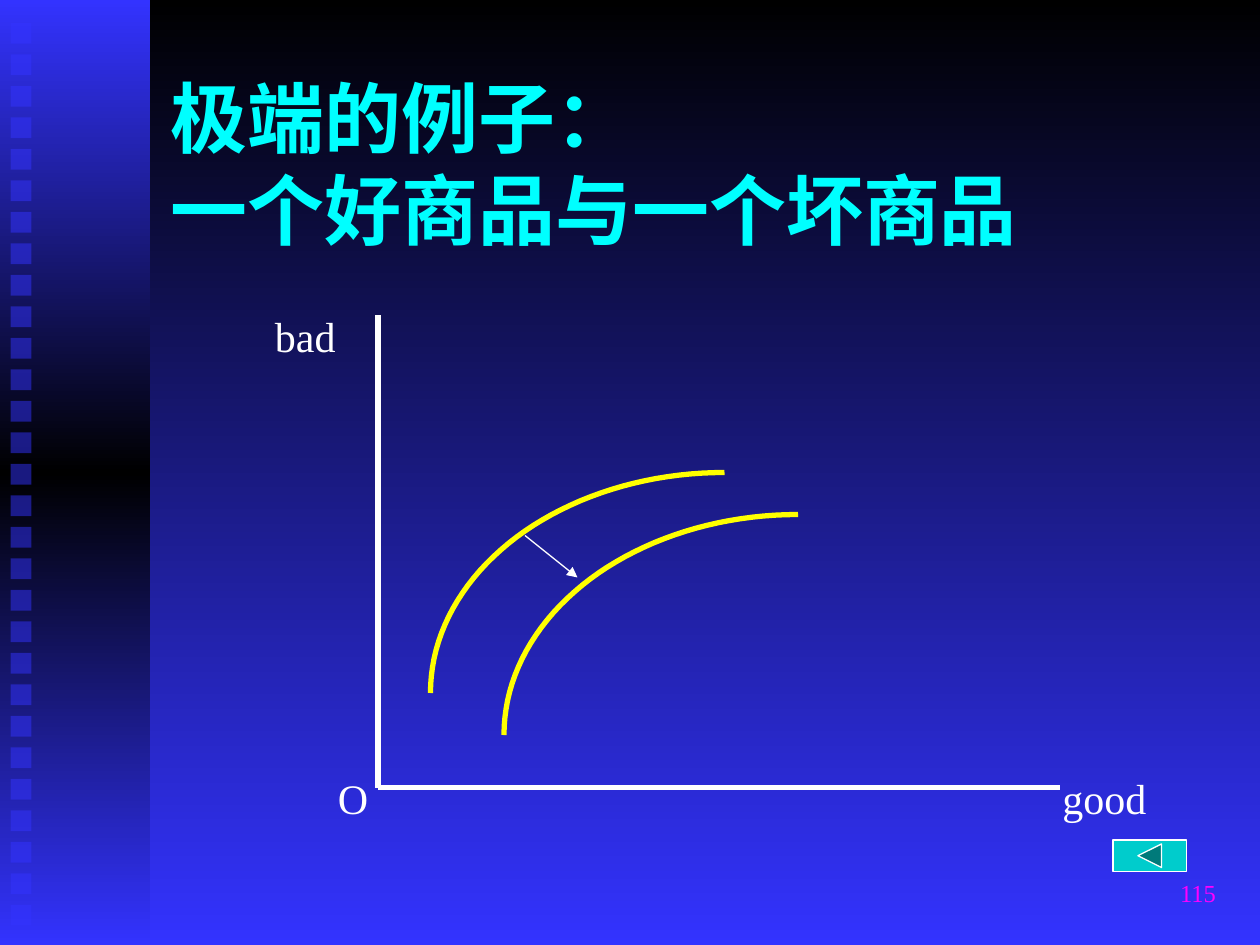
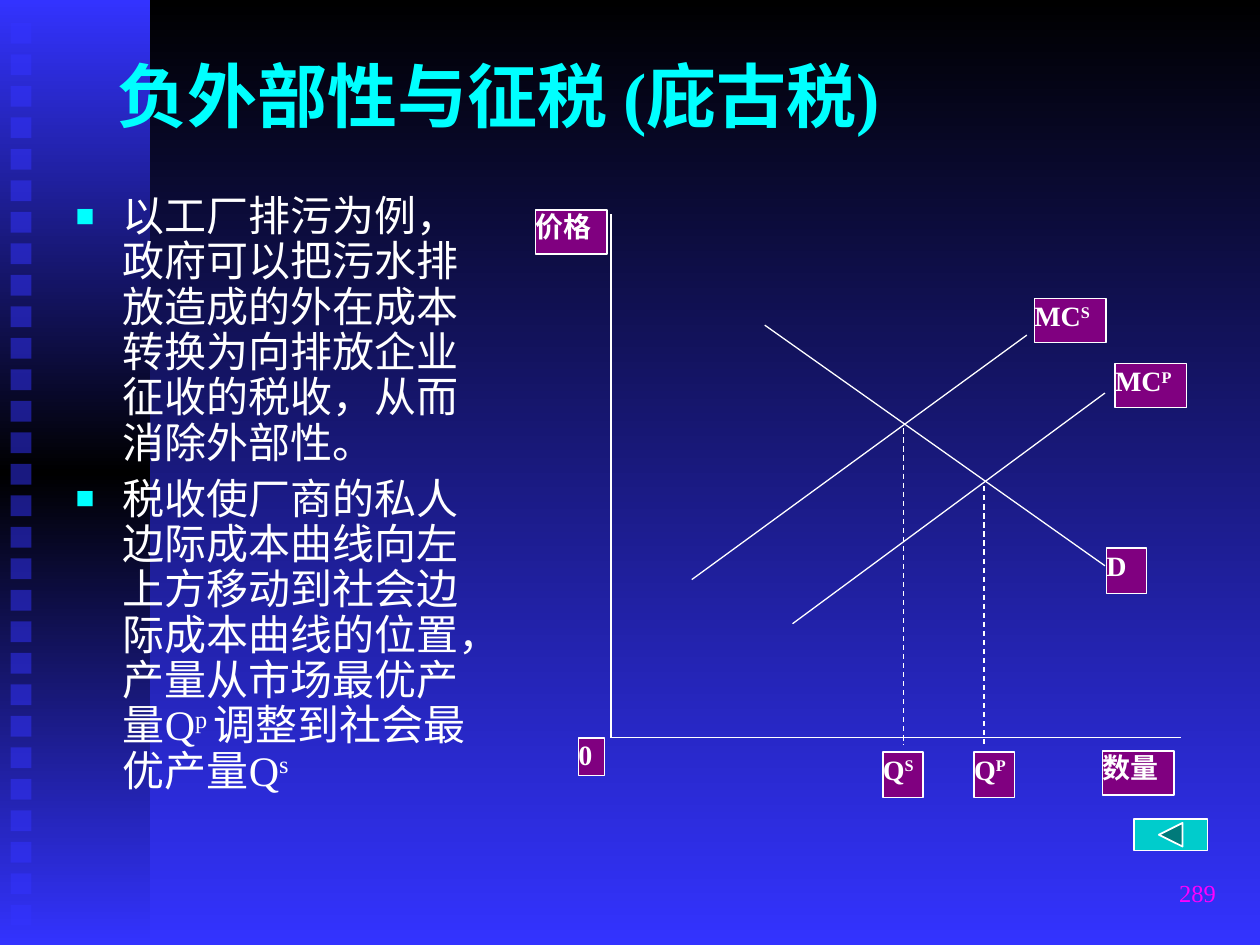
from copy import deepcopy
from dataclasses import dataclass
from math import cos, pi, sin

from lxml import etree
from pptx import Presentation
from pptx.dml.color import RGBColor
from pptx.enum.dml import MSO_LINE
from pptx.enum.shapes import MSO_CONNECTOR, MSO_SHAPE
from pptx.enum.text import MSO_ANCHOR, MSO_AUTO_SIZE, PP_ALIGN
from pptx.oxml.ns import qn
from pptx.util import Pt

RECTANGLE = MSO_SHAPE.RECTANGLE
BACK_BUTTON = MSO_SHAPE.ACTION_BUTTON_BACK_OR_PREVIOUS
STRAIGHT = MSO_CONNECTOR.STRAIGHT
DASH = MSO_LINE.DASH
LEFT, RIGHT, JUSTIFY = PP_ALIGN.LEFT, PP_ALIGN.RIGHT, PP_ALIGN.JUSTIFY
TOP, MIDDLE = MSO_ANCHOR.TOP, MSO_ANCHOR.MIDDLE
TITLE_AND_CONTENT, TITLE_ONLY = 1, 5


@dataclass(frozen=True)
class Theme:
    font: str = "Times New Roman"
    black: RGBColor = RGBColor(0x00, 0x00, 0x00)
    blue: RGBColor = RGBColor(0x33, 0x33, 0xFF)
    title: RGBColor = RGBColor(0x00, 0xFF, 0xFF)
    text: RGBColor = RGBColor(0xFF, 0xFF, 0xFF)
    curve: RGBColor = RGBColor(0xFF, 0xFF, 0x00)
    label: RGBColor = RGBColor(0x80, 0x00, 0x80)
    button: RGBColor = RGBColor(0x00, 0xCC, 0xCC)
    number: RGBColor = RGBColor(0xFF, 0x00, 0xFF)
    large_title_size: int = 44
    title_size: int = 40
    body_size: int = 24
    label_size: int = 16
    number_size: int = 14
    thin: float = 0.75
    thick: float = 3


def points(*lengths):
    return [Pt(length) for length in lengths]


def place(shape, bounds):
    shape.left, shape.top, shape.width, shape.height = points(*bounds)


def fade(fill, top_colour, bottom_colour):
    """Fill with a vertical two-colour gradient."""
    fill.gradient()
    fill.gradient_angle = 270
    for stop, colour in zip(fill.gradient_stops, (top_colour, bottom_colour)):
        stop.color.rgb = colour


class Deck:
    def __init__(self, theme):
        self.theme = theme
        self.deck = Presentation()
        self.deck.slide_width, self.deck.slide_height = points(720, 540)
        self.page = None

    def add_page(self, layout, title, bounds, size, number):
        first = self.page is None
        self.page = self.deck.slides.add_slide(self.deck.slide_layouts[layout])
        if first:
            self.decorate_master()
        box = self.page.shapes.title
        place(box, bounds)
        self.set_frame(box, MIDDLE)
        self.set_text(box.text_frame.paragraphs[0], title, size,
                      self.theme.title, bold=True)
        self.text(str(number), (552, 492, 150, 36), self.theme.number_size,
                  self.theme.number, RIGHT, MIDDLE)

    def decorate_master(self):
        """Draw the side band on the current page and move it to the master."""
        theme, master = self.theme, self.deck.slide_master
        fade(master.background.fill, theme.black, theme.blue)

        band = self.shape(RECTANGLE, (0, 0, 85.7, 540))
        fade(band.fill, theme.blue, theme.black)
        band.fill.gradient_stops[1].position = 0.5
        stops = band.element.spPr.find(".//" + qn("a:gsLst"))
        last_stop = deepcopy(stops[0])
        last_stop.set("pos", "100000")
        stops.append(last_stop)

        decorations = [band]
        for row in range(29):
            square = self.shape(RECTANGLE, (6, 13 + 18 * row, 12, 12), theme.blue)
            colour = square.element.spPr.find(".//" + qn("a:srgbClr"))
            etree.SubElement(colour, qn("a:alpha"), val="50000")
            decorations.append(square)
        for index, shape in enumerate(decorations):
            shape.element.nvSpPr.cNvPr.set("id", str(100 + index))
            master.shapes.element.insert(2 + index, shape.element)

    def set_frame(self, box, anchor=TOP, margins=(7.2, 3.6)):
        frame = box.text_frame
        frame.word_wrap = True
        frame.auto_size = MSO_AUTO_SIZE.NONE
        frame.vertical_anchor = anchor
        frame.margin_left = frame.margin_right = Pt(margins[0])
        frame.margin_top = frame.margin_bottom = Pt(margins[1])

    def set_text(self, para, text, size, colour, align=LEFT, bold=False):
        """Fill a paragraph; text between carets is raised."""
        para.alignment = align
        for index, part in enumerate(text.split("^")):
            if "\v" in part:
                para.text = part
                continue
            span = para.add_run()
            span.text = part
            if index % 2:
                span._r.get_or_add_rPr().set("baseline", "30000")
        font = para.font
        font.name, font.size, font.bold = self.theme.font, Pt(size), bold
        font.color.rgb = colour

    def text(self, text, bounds, size, colour, align=LEFT, anchor=TOP):
        box = self.page.shapes.add_textbox(*points(*bounds))
        self.set_frame(box, anchor)
        self.set_text(box.text_frame.paragraphs[0], text, size, colour, align)

    def bullets(self, items, bounds):
        box = self.page.placeholders[1]
        place(box, bounds)
        self.set_frame(box)
        frame = box.text_frame
        for index, item in enumerate(items):
            para = frame.add_paragraph() if index else frame.paragraphs[0]
            para.line_spacing = 0.9
            para.space_before = Pt(6 if index else 0)
            properties = para._p.get_or_add_pPr()
            properties.set("marL", str(Pt(27)))
            properties.set("indent", str(-Pt(27)))
            colour = etree.SubElement(properties, qn("a:buClr"))
            etree.SubElement(colour, qn("a:srgbClr"), val=str(self.theme.title))
            etree.SubElement(properties, qn("a:buSzPct"), val="75000")
            etree.SubElement(properties, qn("a:buChar"), char="■")
            self.set_text(para, item, self.theme.body_size, self.theme.text)

    def shape(self, kind, bounds, fill=None, line_width=None):
        shape = self.page.shapes.add_shape(kind, *points(*bounds))
        shape.shadow.inherit = False
        if fill is not None:
            shape.fill.solid()
            shape.fill.fore_color.rgb = fill
        if line_width is None:
            shape.line.fill.background()
        else:
            shape.line.color.rgb = self.theme.text
            shape.line.width = Pt(line_width)
        return shape

    def label(self, text, bounds):
        box = self.shape(RECTANGLE, bounds, self.theme.label, self.theme.thin)
        self.set_frame(box, margins=(0, 0))
        self.set_text(box.text_frame.paragraphs[0], text, self.theme.label_size,
                      self.theme.text, JUSTIFY, bold=True)

    def back_button(self, left, top, line_width):
        self.shape(BACK_BUTTON, (left, top, 42, 18), self.theme.button, line_width)

    def line(self, start, end, width=None, dash=None, arrow=False):
        line = self.page.shapes.add_connector(STRAIGHT, *points(*start, *end))
        line.line.color.rgb = self.theme.text
        line.line.width = Pt(width or self.theme.thin)
        if dash:
            line.line.dash_style = dash
        properties = line.element.spPr
        if arrow:
            etree.SubElement(properties.find(qn("a:ln")), qn("a:tailEnd"),
                             type="triangle")
        etree.SubElement(properties, qn("a:effectLst"))

    def quarter_ellipse(self, left, top, width, height, steps=40):
        """Draw the upper left quarter of an ellipse as an open curve."""
        angles = [pi / 2 * step / steps for step in range(steps + 1)]
        outline = [points(left + width * (1 - cos(angle)),
                          top + height * (1 - sin(angle))) for angle in angles]
        builder = self.page.shapes.build_freeform(*outline[0])
        builder.add_line_segments(outline[1:], close=False)
        curve = builder.convert_to_shape()
        curve.shadow.inherit = False
        curve.fill.background()
        curve.line.color.rgb = self.theme.curve
        curve.line.width = Pt(self.theme.thick)


def add_good_and_bad(deck):
    theme = deck.theme
    deck.add_page(TITLE_ONLY, "极端的例子：\v一个好商品与一个坏商品",
                  (90, 48, 612, 90), theme.large_title_size, 115)
    origin = (216, 450)
    deck.line((216, 180), origin, theme.thick)
    deck.line(origin, (606, 450), theme.thick)
    for name, left, top, width in (("O", 186, 438, 42), ("good", 600, 438, 120),
                                   ("bad", 150, 174, 120)):
        deck.text(name, (left, top, width, 36), theme.body_size, theme.text)
    for left, top in ((246, 270), (288, 294)):
        deck.quarter_ellipse(left, top, 168, 126)
    deck.line((300, 306), (330, 330), arrow=True)
    deck.back_button(636, 480, theme.thin)


def add_pigou_tax(deck):
    deck.add_page(TITLE_AND_CONTENT, "负外部性与征税 (庇古税)",
                  (60, 24, 612, 60), deck.theme.title_size, 289)
    deck.bullets((
        "以工厂排污为例，政府可以把污水排放造成的外在成本转换为向排放企业征收的税收，从而消除外部性。",
        "税收使厂商的私人边际成本曲线向左上方移动到社会边际成本曲线的位置，"
        "产量从市场最优产量Q^p ^调整到社会最优产量Q^s",
    ), (36, 108, 252, 372))

    origin = (349.2, 421.5)
    axes = ((origin, (674.6, 421.5)), (origin, (349.2, 122.4)))
    social_cost = ((395.3, 331.2), (586.8, 191.5))
    private_cost = ((452.9, 356.4), (631.4, 224.6))
    demand = ((437, 185.8), (631.4, 323.3))
    for start, end in (*axes, social_cost, private_cost, demand):
        deck.line(start, end)
    for quantity, price in ((562.3, 277.9), (516.2, 244.8)):
        deck.line((quantity, price), (quantity, 426), dash=DASH)

    wide, narrow = (41, 25.2), (23, 25.9)
    for name, corner, size in (
        ("数量", (630, 429.1), wide),
        ("价格", (306, 120), wide),
        ("MC^S", (591.1, 170.6), wide),
        ("MC^P", (637.2, 207.8), wide),
        ("D", (632.2, 313.2), narrow),
        ("Q^P", (556.6, 429.8), narrow),
        ("Q^S", (504.5, 429.8), narrow),
        ("0", (330.5, 421.7), (15, 21.6)),
    ):
        deck.label(name, (*corner, *size))
    deck.back_button(648, 468, 1)


def main():
    deck = Deck(Theme())
    add_good_and_bad(deck)
    add_pigou_tax(deck)
    deck.deck.save("out.pptx")


if __name__ == "__main__":
    main()
